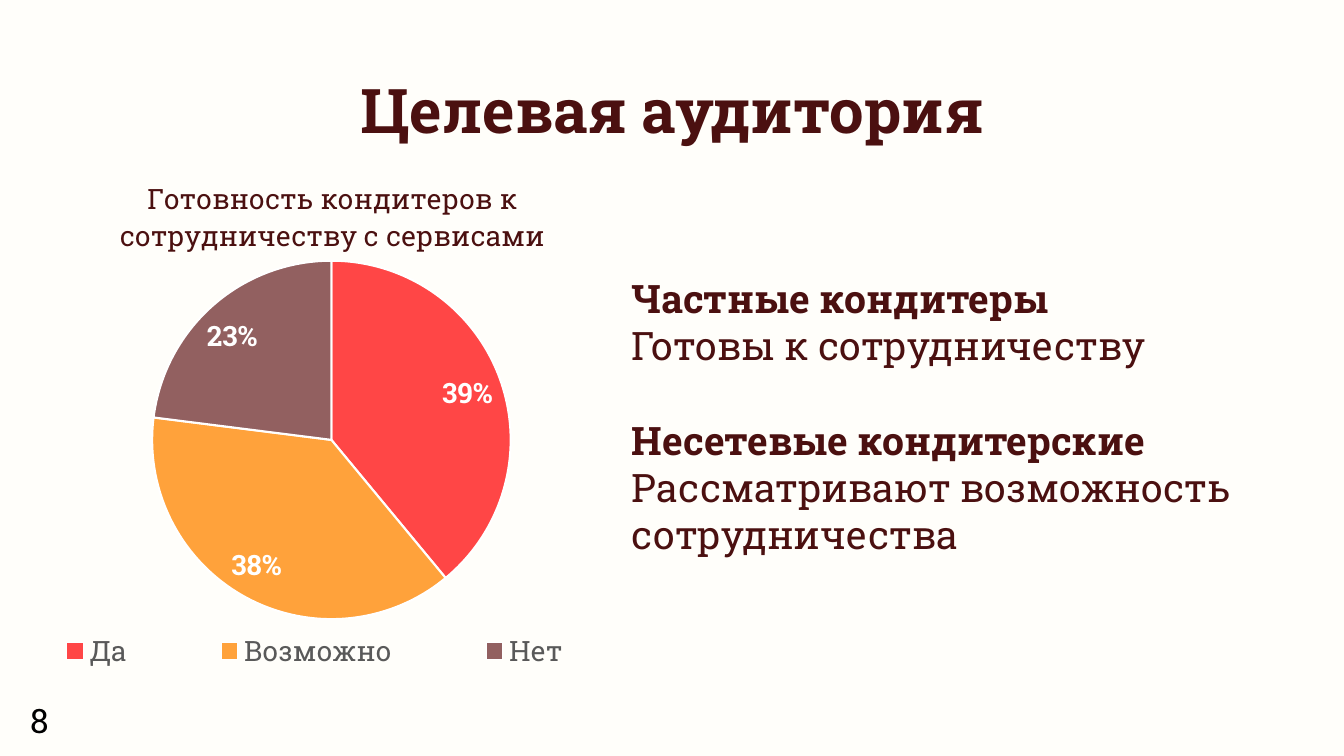
from dataclasses import dataclass

from lxml.etree import SubElement
from pptx import Presentation
from pptx.chart.data import CategoryChartData
from pptx.dml.color import RGBColor
from pptx.enum.chart import XL_CHART_TYPE, XL_LABEL_POSITION, XL_LEGEND_POSITION
from pptx.enum.text import MSO_ANCHOR, PP_ALIGN
from pptx.oxml.ns import qn
from pptx.util import Inches, Pt

TITLE = "Целевая аудитория"
CHART_TITLE = "Готовность кондитеров к сотрудничеству с сервисами"
ANSWERS = [("Да", 39, "FF4646"), ("Возможно", 38, "FFA23B"), ("Нет", 23, "926060")]
AUDIENCES = [
    ("Частные кондитеры", "Готовы к сотрудничеству"),
    ("Несетевые кондитерские", "Рассматривают возможность сотрудничества"),
]
PAGE = "8"

# Left, top, width, height in inches
TITLE_BOX = (0.92, 0.4, 11.5, 1.45)
CHART_BOX = (-0.25, 1.42, 6.95, 5.69)
AUDIENCE_BOX = (6.17, 2.13, 6.4, 4.95)
PAGE_BOX = (0.2, 6.89, 1.63, 0.52)

# Shares of the chart's size
CHART_TITLE_AT = dict(x=0.2, y=0.05)
PIE_AT = dict(x=0.253, y=0.205, w=0.512, h=0.625)
LEGEND_AT = dict(x=0.01, y=0.835, w=0.95, h=0.1)


@dataclass(frozen=True)
class Theme:
    font: str = "Roboto Slab"
    background: str = "FFFEFA"
    text: str = "4B1010"
    legend: str = "595959"
    label: str = "FFFFFF"
    page: str = "000000"
    title_size: int = 44
    body_size: int = 28
    page_size: int = 24
    chart_size: int = 20
    group_gap: int = 34


THEME = Theme()


def rgb(value):
    return RGBColor.from_string(value)


def style(font, size, color, bold=False):
    font.name, font.size, font.bold = THEME.font, Pt(size), bold
    font.color.rgb = rgb(color)


def add_text(slide, box, lines, size, color=THEME.text, align=PP_ALIGN.LEFT,
             anchor=MSO_ANCHOR.TOP, wrap=True, spacing=None, top=0.05):
    """Add a text box; each line is (text, bold, points of space before)."""
    tf = slide.shapes.add_textbox(*map(Inches, box)).text_frame
    tf.word_wrap, tf.vertical_anchor, tf.margin_top = wrap, anchor, Inches(top)
    for i, (text, bold, before) in enumerate(lines):
        p = tf.add_paragraph() if i else tf.paragraphs[0]
        p.alignment = align
        if spacing:
            p.line_spacing = spacing
        if before:
            p.space_before = Pt(before)
        r = p.add_run()
        r.text = text
        style(r.font, size, color, bold)


def place(part, index, x, y, w=None, h=None, inner=False):
    """Give a chart part a fixed layout, as its child number index."""
    for old in part.findall(qn("c:layout")):
        part.remove(old)
    layout = part.makeelement(qn("c:layout"))
    part.insert(index, layout)
    manual = SubElement(layout, qn("c:manualLayout"))
    settings = [("layoutTarget", "inner")] if inner else []
    settings += [("xMode", "edge"), ("yMode", "edge"),
                 ("x", x), ("y", y), ("w", w), ("h", h)]
    for name, value in settings:
        if value is not None:
            SubElement(manual, qn(f"c:{name}")).set("val", str(value))


def add_pie(slide):
    names, values, colors = zip(*ANSWERS)
    data = CategoryChartData()
    data.categories = names
    data.add_series("Series 1", values)
    chart = slide.shapes.add_chart(
        XL_CHART_TYPE.PIE, *map(Inches, CHART_BOX), data).chart
    style(chart.font, THEME.chart_size, THEME.text)

    chart.has_title = True
    p = chart.chart_title.text_frame.paragraphs[0]
    r = p.add_run()
    r.text = CHART_TITLE
    style(r.font, THEME.chart_size, THEME.text)

    chart.has_legend = True
    chart.legend.position = XL_LEGEND_POSITION.BOTTOM
    chart.legend.include_in_layout = False
    style(chart.legend.font, THEME.chart_size, THEME.legend)

    plot = chart.plots[0]
    plot.vary_by_categories = True
    for i, color in enumerate(colors):
        slice_format = plot.series[0].points[i].format
        slice_format.fill.solid()
        slice_format.fill.fore_color.rgb = rgb(color)
        slice_format.line.color.rgb = rgb(THEME.label)
        slice_format.line.width = Pt(1.5)

    labels = plot.series[0].data_labels
    labels.show_percentage, labels.show_value = True, False
    labels.number_format, labels.number_format_is_linked = "0%", False
    labels.position = XL_LABEL_POSITION.BEST_FIT
    style(labels.font, THEME.chart_size, THEME.label, bold=True)

    root = chart.element.find(qn("c:chart"))
    place(root.find(qn("c:title")), 1, **CHART_TITLE_AT)
    place(root.find(qn("c:plotArea")), 0, inner=True, **PIE_AT)
    place(root.find(qn("c:legend")), 1, **LEGEND_AT)


def main():
    prs = Presentation()
    prs.slide_width, prs.slide_height = Inches(13.33), Inches(7.5)
    s = prs.slides.add_slide(prs.slide_layouts[6])
    s.background.fill.solid()
    s.background.fill.fore_color.rgb = rgb(THEME.background)

    add_text(s, TITLE_BOX, [(TITLE, True, 0)], THEME.title_size,
             align=PP_ALIGN.CENTER, anchor=MSO_ANCHOR.MIDDLE, spacing=0.9)
    add_pie(s)
    lines = []
    for i, (group, attitude) in enumerate(AUDIENCES):
        lines += [(group, True, THEME.group_gap if i else 0), (attitude, False, 0)]
    add_text(s, AUDIENCE_BOX, lines, THEME.body_size, top=0.59)
    add_text(s, PAGE_BOX, [(PAGE, False, 0)], THEME.page_size,
             color=THEME.page, wrap=False)
    prs.save("out.pptx")


if __name__ == "__main__":
    main()
